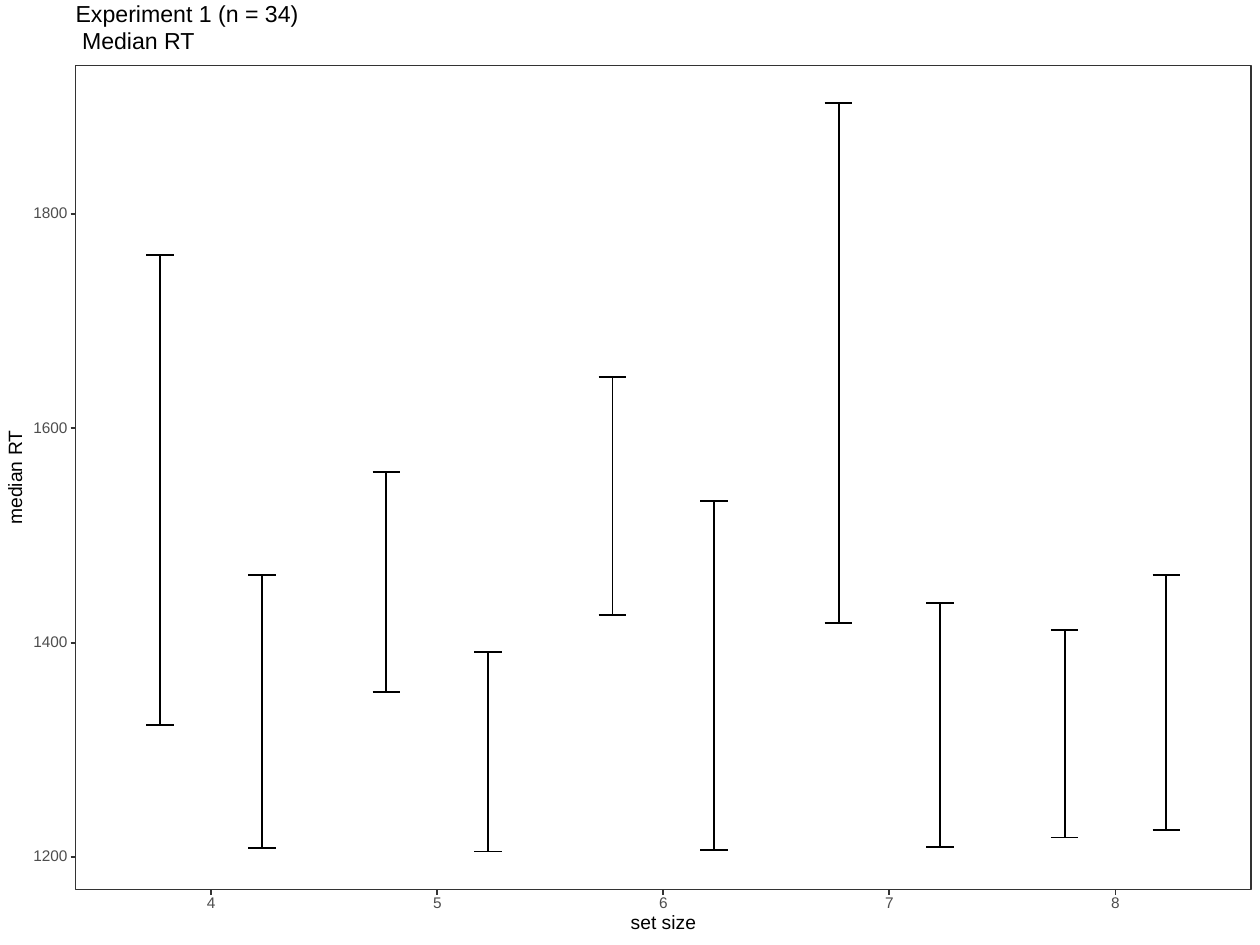
"""Build a slide that plots median RT ranges by set size."""
from pptx import Presentation
from pptx.dml.color import RGBColor
from pptx.enum import shapes, text
from pptx.oxml import xmlchemy as xml
from pptx.util import Inches, Pt

TITLE = ["Experiment 1 (n = 34)", " Median RT"]
XNAME, YNAME = "set size", "median RT"
BARS = {
    4: [(1323, 1762), (1208, 1463)],
    5: [(1354, 1559), (1205, 1391)],
    6: [(1426, 1648), (1206, 1532)],
    7: [(1418, 1904), (1209, 1437)],
    8: [(1218, 1412), (1225, 1463)],
}
TICKS = [1200, 1400, 1600, 1800]
HUES = {"back": "FFFFFF", "ink": "000000", "frame": "333333", "tick": "4D4D4D"}
LEFT, TOP, WIDE, HIGH = 0.6, 0.52, 9.33, 6.54
BASE = TOP + HIGH
STEP = WIDE / 5.2
DODGE, CAP, TICK = 0.225, 0.11, 0.04
SMALL, MID, BIG, LINE = 8.8, 11, 13.2, 1.07


def hue(name):
    return RGBColor.from_string(HUES[name])


def put_x(size):
    return LEFT + (size - 3.4) * STEP


def put_y(time):
    return 6.8 - (time - 1200) * 1.7 / 200


def draw(slide, x1, y1, x2, y2, name):
    line = slide.shapes.add_connector(
        shapes.MSO_CONNECTOR.STRAIGHT, *map(Inches, (x1, y1, x2, y2)))
    line.line.width = Pt(LINE)
    line.line.color.rgb = hue(name)
    props = line._element.spPr
    props.append(xml.OxmlElement("a:effectLst"))


def style(frame, lines, size, name, align, space):
    form = {"margin_left": 0, "margin_right": 0, "margin_top": 0,
            "margin_bottom": 0, "word_wrap": False,
            "auto_size": text.MSO_AUTO_SIZE.NONE,
            "vertical_anchor": text.MSO_ANCHOR.MIDDLE}
    for key, val in form.items():
        setattr(frame, key, val)
    frame.text = "\n".join(lines)
    for para in frame.paragraphs:
        para.alignment = align
        para.line_spacing = Pt(space)
        font = para.runs[0].font
        for key, val in {"name": "Arial", "size": Pt(size)}.items():
            setattr(font, key, val)
        font.color.rgb = hue(name)


def label(slide, words, x, y, wide, high, size, name):
    box = slide.shapes.add_textbox(
        *map(Inches, (x - wide / 2, y - high / 2, wide, high)))
    style(box.text_frame, [words], size, name, text.PP_ALIGN.CENTER, size)
    return box


def main():
    deck = Presentation()
    deck.slide_width, deck.slide_height = Inches(10), Inches(7.5)
    slide = deck.slides.add_slide(deck.slide_layouts[5])
    slide.background.fill.solid()
    slide.background.fill.fore_color.rgb = hue("back")

    head = slide.shapes.title
    spot = {"left": LEFT, "top": 0.03, "width": 1.82, "height": 0.37}
    for key, val in spot.items():
        setattr(head, key, Inches(val))
    style(head.text_frame, TITLE, BIG, "ink", text.PP_ALIGN.LEFT, 15.5)

    panel = slide.shapes.add_shape(
        shapes.MSO_SHAPE.RECTANGLE, *map(Inches, (LEFT, TOP, WIDE, HIGH)))
    panel.shadow.inherit = False
    panel.fill.solid()
    panel.fill.fore_color.rgb = hue("back")
    panel.line.color.rgb = hue("frame")
    panel.line.width = Pt(LINE)

    for size, pair in BARS.items():
        mid = put_x(size)
        draw(slide, mid, BASE, mid, BASE + TICK, "frame")
        label(slide, str(size), mid, 7.17, 0.07, 0.09, SMALL, "tick")
        for side, (low, high) in zip((-1, 1), pair):
            x = mid + side * DODGE * STEP
            draw(slide, x, put_y(high), x, put_y(low), "ink")
            for time in (low, high):
                y = put_y(time)
                draw(slide, x - CAP, y, x + CAP, y, "ink")

    for time in TICKS:
        y = put_y(time)
        draw(slide, LEFT - TICK, y, LEFT, y, "frame")
        label(slide, str(time), 0.4, y, 0.27, 0.09, SMALL, "tick")

    label(slide, XNAME, LEFT + WIDE / 2, 7.33, 0.52, 0.11, MID, "ink")
    name = label(slide, YNAME, 0.13, TOP + HIGH / 2, 0.75, 0.11, MID, "ink")
    name.rotation = 270
    deck.save("out.pptx")


if __name__ == "__main__":
    main()
